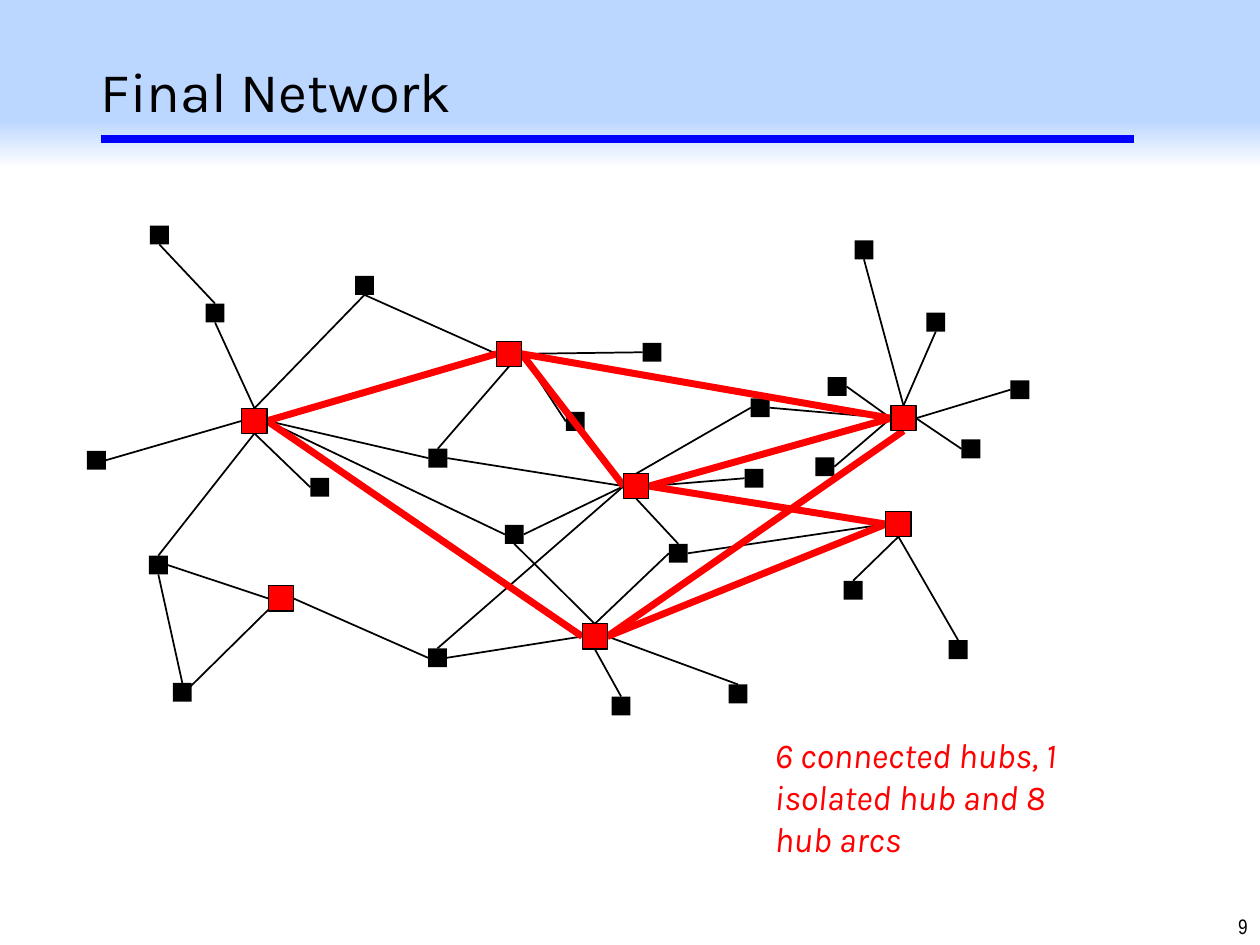
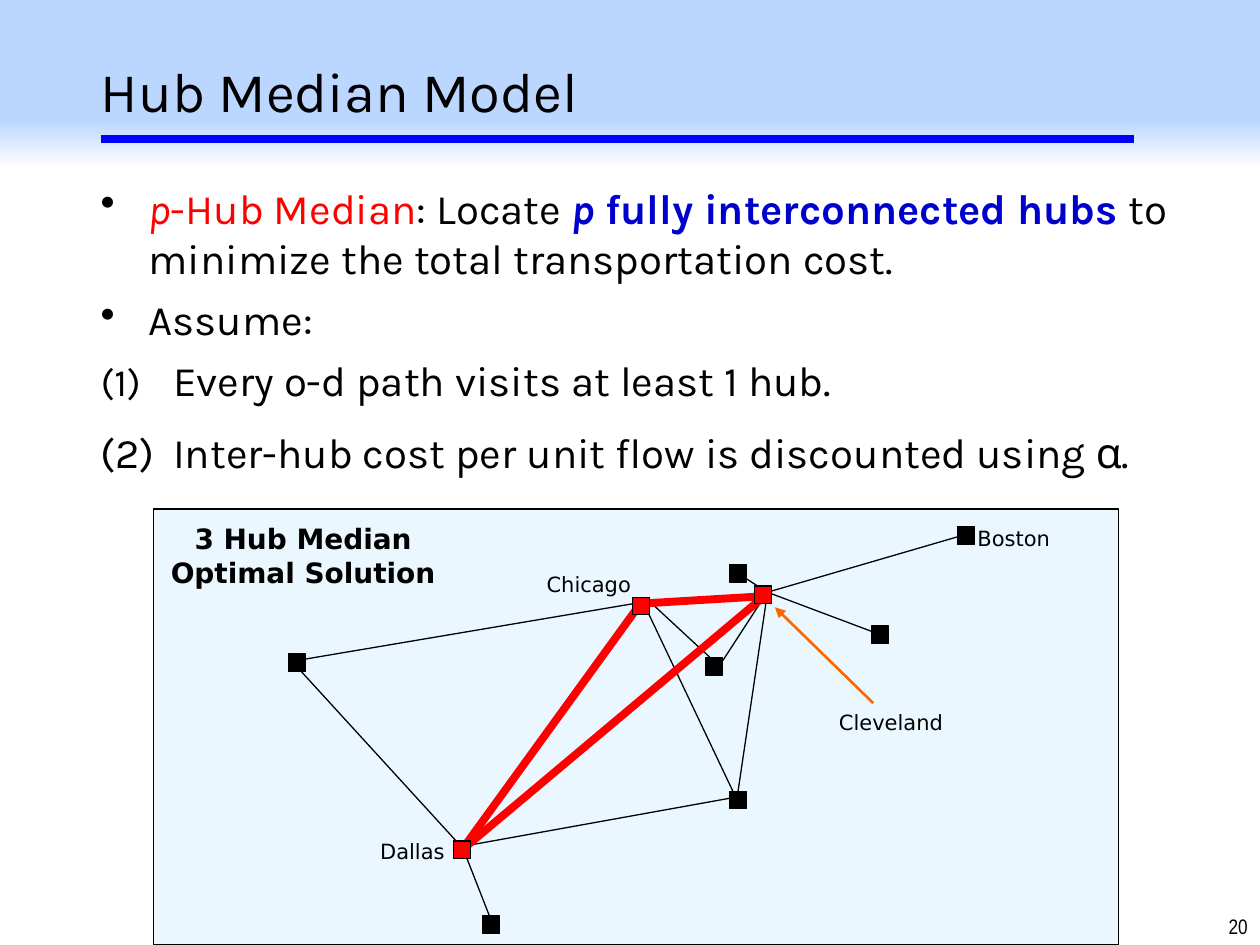
import pptx
import pptx.util
import pptx.dml.color
import pptx.enum.shapes
import pptx.enum.text
import pptx.oxml
import pptx.oxml.ns
from lxml import etree

Pt = pptx.util.Pt
ALIGN = pptx.enum.text.PP_ALIGN
COLORS = {
    "black": "000000", "white": "FFFFFF", "red": "FF0000", "rule": "0000FF",
    "strong": "0000CC", "band": "BCD7FF", "panel": "CCECFF", "arrow": "FF6600",
}
RGB = {name: pptx.dml.color.RGBColor.from_string(code) for name, code in COLORS.items()}
TOP, LEFT, BOTTOM, RIGHT = range(4)


def draw_line(page, start, end, color="black", width=1):
    points = [Pt(value) for value in (*start, *end)]
    line = page.shapes.add_connector(pptx.enum.shapes.MSO_CONNECTOR.STRAIGHT, *points)
    line.line.color.rgb = RGB[color]
    line.line.width = Pt(width)
    etree.SubElement(line.element.spPr, pptx.oxml.ns.qn("a:effectLst"))
    return line


def draw_box(page, bounds, fill=None, outline=None, text=None, style=None, align=ALIGN.LEFT):
    bounds = [Pt(value) for value in bounds]
    if fill:
        box = page.shapes.add_shape(pptx.enum.shapes.MSO_SHAPE.RECTANGLE, *bounds)
        box.shadow.inherit = False
        box.fill.solid()
        box.fill.fore_color.rgb = RGB[fill]
        if outline:
            box.line.color.rgb = RGB[outline]
            box.line.width = Pt(0.75)
        else:
            box.line.fill.background()
    else:
        box = page.shapes.add_textbox(*bounds)
    if text:
        box.text_frame.word_wrap = True
        box.text_frame.vertical_anchor = pptx.enum.text.MSO_ANCHOR.TOP
        para = box.text_frame.paragraphs[0]
        para.alignment = align
        span = para.add_run()
        span.text = text
        span.font.color.rgb = RGB["black"]
        for name, value in style.items():
            if name == "color":
                span.font.color.rgb = RGB[value]
            else:
                setattr(span.font, name, value)
    return box


deck = pptx.Presentation()
deck.slide_width, deck.slide_height = Pt(720), Pt(540)

# Shared frame: band, title, rule and page number
pages = []
for heading, number, title_width in (("Final Network", "9", 669.6), ("Hub Median Model", "20", 612)):
    page = deck.slides.add_slide(deck.slide_layouts[5])
    title = page.shapes.title
    for name, value in {"left": 50.4, "top": 14.4, "width": title_width, "height": 74.2}.items():
        setattr(title, name, Pt(value))
    title.text_frame.text = heading
    title.text_frame.vertical_anchor = pptx.enum.text.MSO_ANCHOR.MIDDLE
    para = title.text_frame.paragraphs[0]
    para.alignment = ALIGN.LEFT
    for name, value in {"name": "Karla", "size": Pt(32)}.items():
        setattr(para.runs[0].font, name, value)
    para.runs[0].font.color.rgb = RGB["black"]

    band = draw_box(page, (0, 0, 720, 96), "band")
    band.fill.gradient()
    band.fill.gradient_angle = 90
    for stop, color, position in zip(band.fill.gradient_stops, ("white", "band"), (0, 0.28)):
        stop.color.rgb = RGB[color]
        stop.position = position
    title.element.addprevious(band.element)

    draw_line(page, (57.6, 79.2), (648, 79.2), "rule", 4.5)
    draw_box(page, (632.2, 518.4, 87.8, 21.6), text=number,
             style={"name": "Arial Narrow", "size": Pt(12)}, align=ALIGN.RIGHT)
    pages.append(page)
network_page, median_page = pages

# Final network: node centres
spokes = {
    1: (91.1, 134.3), 2: (55.1, 263), 3: (90.5, 322.9), 4: (104.2, 395.6), 5: (208.3, 163.1),
    6: (122.9, 178.9), 7: (182.7, 278.4), 8: (250.2, 261.8), 9: (293.9, 305.4),
    10: (250, 375.9), 11: (328.7, 240.8), 12: (372.6, 201.3), 13: (434.4, 233),
    14: (430.9, 273.3), 15: (387.6, 316.2), 16: (354.9, 403.4), 17: (421.7, 396.5),
    18: (487.5, 337.3), 19: (547.5, 371.2), 20: (478.4, 220.9), 21: (471.4, 266.7),
    22: (582.8, 222.7), 23: (554.8, 256.5), 24: (493.7, 142.8), 25: (534.7, 184.1),
}
hubs = {
    "west": (145.4, 240.5), "isolated": (160.6, 342), "north": (290.9, 202.2),
    "center": (363.6, 277.8), "south": (339.9, 363.7), "east": (516.3, 239),
    "southeast": (513.4, 299.5),
}
nodes = {}
for centers, size, fill, outline in ((spokes, 10.8, "black", None), (hubs, 14.4, "red", "black")):
    for name, (x, y) in centers.items():
        nodes[name] = draw_box(network_page, (x - size / 2, y - size / 2, size, size), fill, outline)

# Final network: arcs as node, side, node, side
access_arcs = [
    (24, BOTTOM, "east", TOP), (25, BOTTOM, "east", TOP), (22, LEFT, "east", RIGHT),
    (23, LEFT, "east", RIGHT), (21, RIGHT, "east", LEFT), (20, RIGHT, "east", LEFT),
    (13, RIGHT, "east", LEFT), (19, TOP, "southeast", BOTTOM), (18, TOP, "southeast", BOTTOM),
    (15, RIGHT, "southeast", LEFT), (17, TOP, "south", RIGHT), (16, TOP, "south", BOTTOM),
    (15, LEFT, "south", TOP), (9, BOTTOM, "south", TOP), (10, RIGHT, "south", LEFT),
    (14, LEFT, "center", RIGHT), (13, LEFT, "center", TOP), (8, RIGHT, "center", LEFT),
    (9, RIGHT, "center", LEFT), (10, TOP, "center", LEFT), (15, TOP, "center", BOTTOM),
    (12, LEFT, "north", RIGHT), (8, TOP, "north", BOTTOM), (5, BOTTOM, "north", LEFT),
    (11, LEFT, "north", RIGHT), (8, LEFT, "west", RIGHT), (9, LEFT, "west", RIGHT),
    (7, LEFT, "west", BOTTOM), (3, TOP, "west", BOTTOM), (2, RIGHT, "west", LEFT),
    (6, BOTTOM, "west", TOP), (5, BOTTOM, "west", TOP), (3, RIGHT, "isolated", LEFT),
    (10, LEFT, "isolated", RIGHT), (3, BOTTOM, 4, TOP), (1, BOTTOM, 6, TOP),
]
hub_arcs = [
    ("center", RIGHT, "southeast", LEFT), ("north", RIGHT, "east", LEFT),
    ("south", RIGHT, "east", BOTTOM), ("south", LEFT, "west", RIGHT),
    ("north", RIGHT, "center", LEFT), ("west", RIGHT, "north", LEFT),
    ("center", RIGHT, "east", LEFT), ("south", RIGHT, "southeast", LEFT),
]
draw_line(network_page, (156.2, 345.6), (107.3, 393.8))
for arcs, color, width in ((access_arcs, "black", 1), (hub_arcs, "red", 4)):
    for start, start_side, end, end_side in arcs:
        arc = draw_line(network_page, (0, 0), (0, 0), color, width)
        arc.begin_connect(nodes[start], start_side)
        arc.end_connect(nodes[end], end_side)

# Hubs lie above the arcs
for name in hubs:
    nodes[name].element.getparent().append(nodes[name].element)

draw_box(network_page, (435.6, 415.4, 187.2, 80), "white",
         text="6 connected hubs, 1 isolated hub and 8 hub arcs",
         style={"name": "Karla", "size": Pt(20), "italic": True, "color": "red"})

# Hub median model: definition and assumptions
body = draw_box(median_page, (50.4, 100.8, 637.9, 208)).text_frame
body.word_wrap = True
dot = '<a:buChar {} char="•"/>'
count = '<a:buAutoNum {} type="arabicParenBoth"/>'
statements = [
    (dot, 100, 27.4, 27.4, 0, 0, [
        ("p", "red", False, True), ("-Hub Median", "red", False, False),
        (": Locate ", "black", False, False), ("p", "strong", True, True),
        (" fully interconnected hubs ", "strong", True, False),
        ("to minimize the total transportation cost.", "black", False, False)]),
    (dot, 100, 27.4, 27.4, 6, 0, [("Assume:", "black", False, False)]),
    (count, 92, 41.5, 41.5, 6, 6,
     [("Every o-d path visits at least 1 hub.", "black", False, False)]),
    (count, 100, 41.5, 41.5, 6, 6,
     [("Inter-hub cost per unit flow is discounted using α.", "black", False, False)]),
]
for index, (bullet, percent, margin, hang, before, after, spans) in enumerate(statements):
    para = body.add_paragraph() if index else body.paragraphs[0]
    properties = para._p.get_or_add_pPr()
    properties.set("marL", str(Pt(margin)))
    properties.set("indent", str(-Pt(hang)))
    namespace = pptx.oxml.ns.nsdecls("a")
    for markup in (
        f'<a:buClr {namespace}><a:srgbClr val="{COLORS["black"]}"/></a:buClr>',
        f'<a:buSzPct {namespace} val="{percent * 1000}"/>',
        bullet.format(namespace),
    ):
        properties.append(pptx.oxml.parse_xml(markup))
    para.space_before, para.space_after = Pt(before), Pt(after)
    for text, color, bold, italic in spans:
        span = para.add_run()
        span.text = text
        for name, value in {"name": "Karla", "size": Pt(24), "bold": bold, "italic": italic}.items():
            setattr(span.font, name, value)
        span.font.color.rgb = RGB[color]

# Map panel, partly transparent
panel = draw_box(median_page, (87.8, 290.9, 551.5, 249.1), "panel", "black")
panel_color = panel.element.spPr.find(".//" + pptx.oxml.ns.qn("a:srgbClr"))
etree.SubElement(panel_color, pptx.oxml.ns.qn("a:alpha"), val="39000")

# City names and map heading
label_style = {"name": "DejaVu Sans", "size": Pt(12)}
for city, x, y, width in (("Boston", 551.5, 296.6, 113), ("Dallas", 210.2, 475.9, 64),
                          ("Chicago", 305.3, 323.3, 67.7), ("Cleveland", 472.3, 401.8, 80.6)):
    draw_box(median_page, (x, y, width, 21.6), text=city, style=label_style)
draw_box(median_page, (88.6, 294.5, 169.2, 46), text="3 Hub Median Optimal Solution",
         style={"name": "DejaVu Sans", "size": Pt(16), "bold": True}, align=ALIGN.CENTER)

# Map lines
access_lines = [
    ((366.5, 344.2), (166.3, 378)), ((263.5, 483.8), (419, 455.8)), ((437, 340.6), (411.8, 379.4)),
    ((421.2, 457.2), (367.9, 344.9)), ((166.3, 377.3), (265, 485.3)), ((408.2, 378), (370.1, 342.7)),
    ((421.2, 455.8), (438.5, 339.1)), ((280.8, 526.3), (264.2, 483.8)), ((420.5, 326.9), (436.3, 337)),
    ((552.2, 305.3), (436.3, 339.1)), ((501.8, 362.2), (438.5, 338.4)),
]
hub_lines = [
    ((262.8, 486.7), (437.8, 339.8)), ((264.2, 485.3), (366.5, 344.2)), ((366.5, 344.9), (438.5, 340.6)),
]
for lines, color, width in ((access_lines, "black", 0.75), (hub_lines, "red", 4.5)):
    for start, end in lines:
        draw_line(median_page, start, end, color, width)
arrow = draw_line(median_page, (499, 401.8), (442.8, 347), "arrow", 1.5)
outline = arrow.element.spPr.find(pptx.oxml.ns.qn("a:ln"))
etree.SubElement(outline, pptx.oxml.ns.qn("a:tailEnd"), type="triangle")

# Map cities
city_spokes = [(164.9, 373.7), (416.9, 322.6), (547.2, 301), (498.2, 357.8),
               (403.2, 375.8), (416.9, 452.2), (275.8, 523.4)]
city_hubs = [(431.3, 334.8), (361.4, 341.3), (259.2, 480.6)]
for corners, fill in ((city_spokes, "black"), (city_hubs, "red")):
    for x, y in corners:
        draw_box(median_page, (x, y, 9.6, 10), fill, "black")

deck.save("out.pptx")
